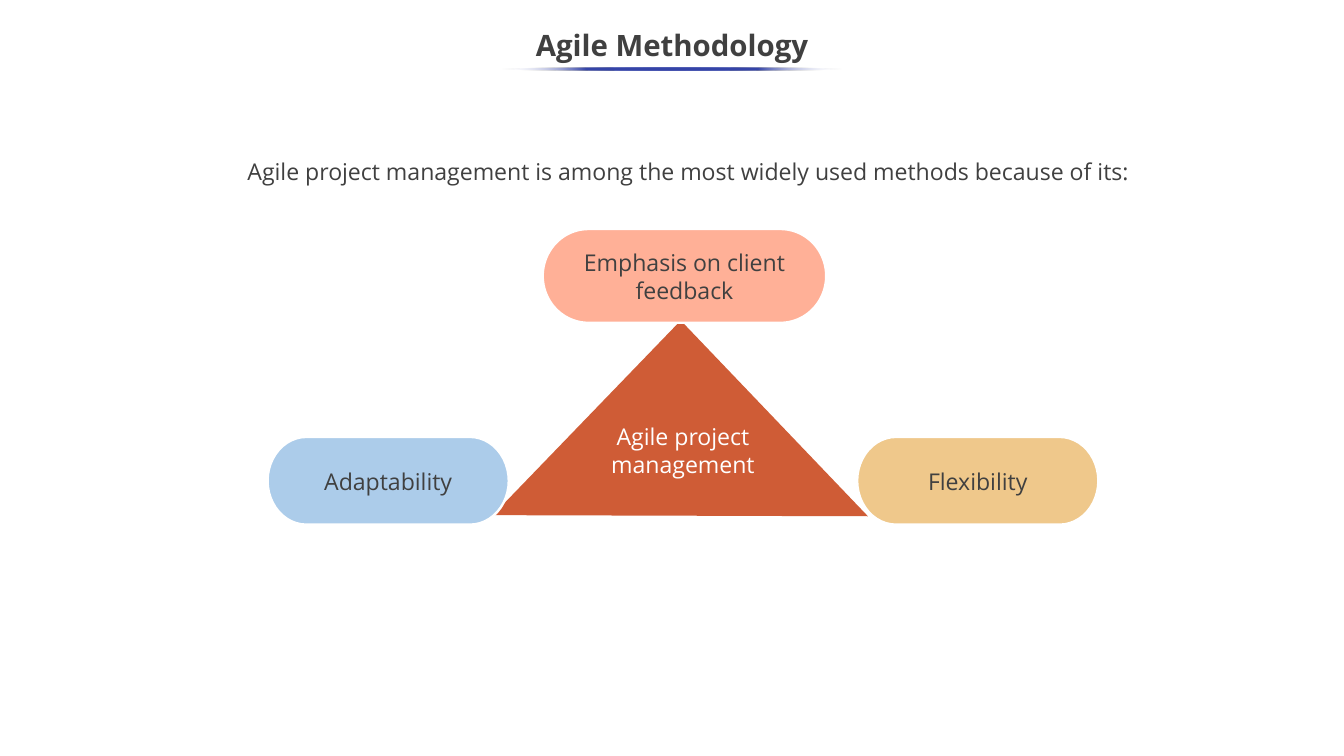
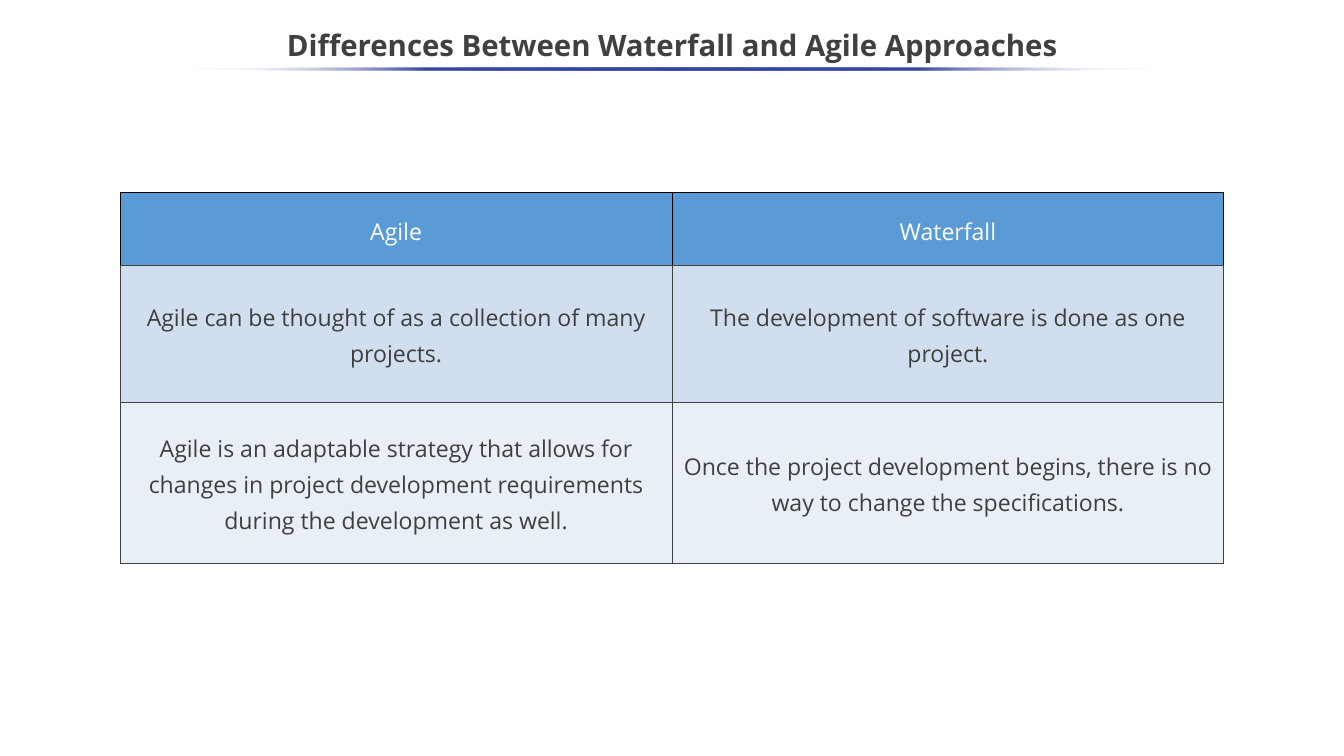
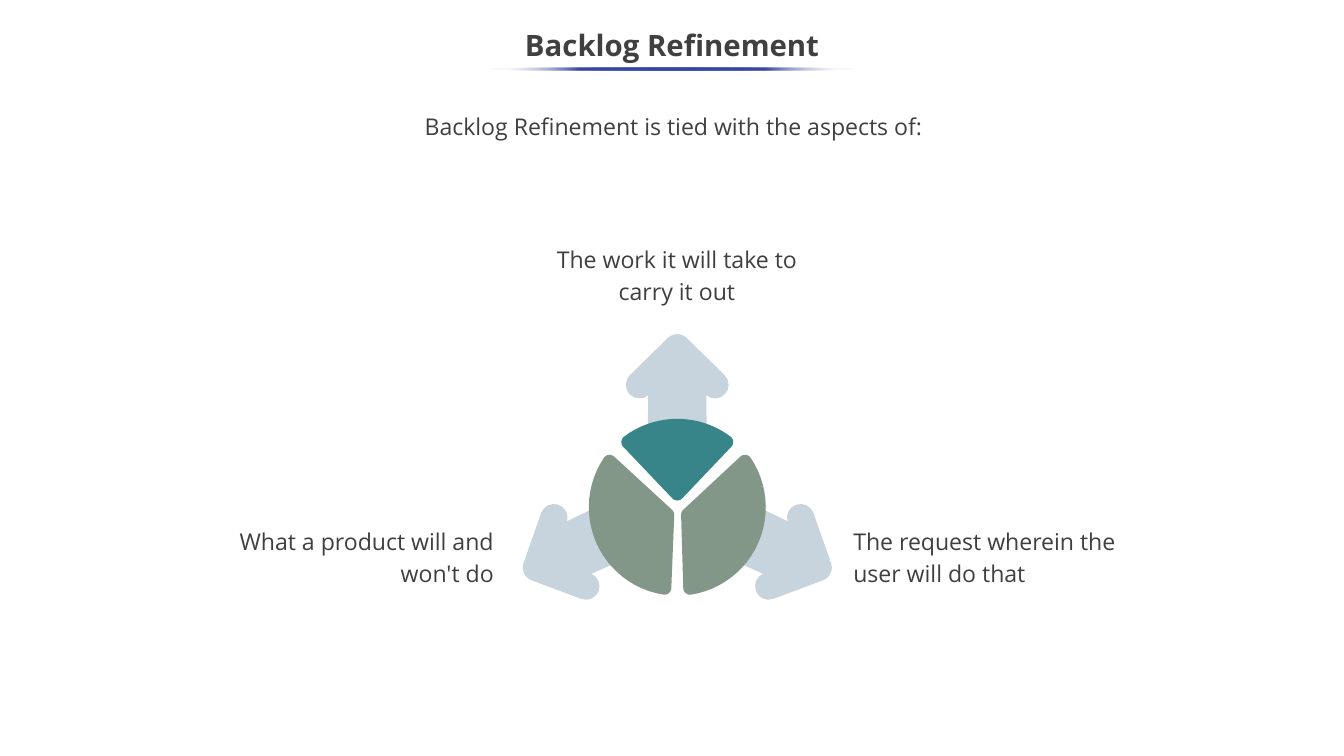
from math import atan2, cos, degrees, radians, sin

from lxml import etree
from pptx import Presentation
from pptx.dml.color import RGBColor
from pptx.enum.shapes import MSO_SHAPE as SHAPE
from pptx.enum.text import MSO_ANCHOR as ANCHOR, MSO_AUTO_SIZE as FIT, PP_ALIGN as ALIGN
from pptx.oxml.ns import qn
from pptx.util import Pt

PX = 9144
WIDTH, HEIGHT = 1778, 1000
FONT = "Open Sans"
DARK, INK, WHITE, BLACK = "404040", "3F3F3F", "FFFFFF", "000000"
RULE, RUST = "3645A9", "CF5C36"
CORAL, SKY, SAND = "FFB097", "ACCCEA", "EFC88B"
HEADER, BAND_DARK, BAND_LIGHT = "5B9BD5", "D0DEEF", "E9EFF7"
MIST, TEAL, SAGE = "C7D3DD", "378589", "839788"
HUB, RADIUS, CORNER = (896, 671), 117, 9


def rgb(color):
    """Return the colour for a hex string."""
    return RGBColor.from_string(color)


def emu(*lengths):
    """Turn px lengths into EMU."""
    return [round(n * PX) for n in lengths]


def write(tf, text, size=22, color=DARK, bold=False, align=ALIGN.CENTER,
          anchor=ANCHOR.MIDDLE, spacing=1.0):
    """Put one formatted paragraph into a text frame."""
    tf.word_wrap = True
    tf.vertical_anchor = anchor
    p = tf.paragraphs[0]
    p.alignment = align
    p.line_spacing = spacing
    p.space_before = Pt(0)
    r = p.add_run()
    r.text = text
    r.font.name = FONT
    r.font.size = Pt(size)
    r.font.bold = bold
    r.font.color.rgb = rgb(color)


def add_label(s, box, text, **style):
    """Add a text box."""
    write(s.shapes.add_textbox(*emu(*box)).text_frame, text, **style)


def paint(sp, fill, line=None):
    """Give a shape a flat fill and an optional outline."""
    sp.shadow.inherit = False
    sp.fill.solid()
    sp.fill.fore_color.rgb = rgb(fill)
    if line:
        sp.line.color.rgb = rgb(line)
        sp.line.width = Pt(2.25)
    else:
        sp.line.fill.background()


def add_shape(s, kind, box, fill, line=None):
    """Add a painted preset shape."""
    sp = s.shapes.add_shape(kind, *emu(*box))
    paint(sp, fill, line)
    return sp


def add_pill(s, box, text, fill):
    """Add a rounded pill with its caption."""
    sp = add_shape(s, SHAPE.FLOWCHART_TERMINATOR, box, fill, WHITE)
    write(sp.text_frame, text)


def fade_ends(sp, color):
    """Fill a shape with a colour that fades out at both ends."""
    fill = etree.Element(qn("a:gradFill"), rotWithShape="1")
    stops = etree.SubElement(fill, qn("a:gsLst"))
    for pos in (0, 25, 50, 75, 100):
        end = pos in (0, 100)
        stop = etree.SubElement(stops, qn("a:gs"), pos=str(pos * 1000))
        clr = etree.SubElement(stop, qn("a:srgbClr"), val=WHITE if end else color)
        if end:
            etree.SubElement(clr, qn("a:alpha"), val="0")
    etree.SubElement(fill, qn("a:lin"), ang="10800000", scaled="0")
    old = sp._element.spPr.find(qn("a:solidFill"))
    old.getparent().replace(old, fill)


def add_slide(prs, title, rule_width):
    """Add a slide with its title and the rule below it."""
    s = prs.slides.add_slide(prs.slide_layouts[5])
    sp = s.shapes.title
    sp.left, sp.top, sp.width, sp.height = emu(0, 25, WIDTH, 75)
    sp.text_frame.auto_size = FIT.NONE
    write(sp.text_frame, title, size=28, bold=True, spacing=0.9)
    rule = add_shape(s, SHAPE.OVAL, ((WIDTH - rule_width) / 2, 89, rule_width, 4), RULE)
    fade_ends(rule, RULE)
    return s


def set_border(cell, side, color):
    """Draw one side of a cell; sides go in the order L, R, T, B."""
    ln = etree.SubElement(cell._tc.get_or_add_tcPr(), qn("a:ln" + side), w=str(Pt(1)))
    fill = etree.SubElement(ln, qn("a:solidFill"))
    etree.SubElement(fill, qn("a:srgbClr"), val=color)


def add_table(s, left, top, col_width, heights, rows):
    """Add a table with a header row and shaded body rows."""
    cols = len(rows[0])
    box = emu(left, top, col_width * cols, sum(heights))
    table = s.shapes.add_table(len(rows), cols, *box).table
    for col in table.columns:
        col.width = emu(col_width)[0]
    for i, (row, height, fill) in enumerate(zip(rows, heights, (HEADER, BAND_DARK, BAND_LIGHT))):
        table.rows[i].height = emu(height)[0]
        for j, text in enumerate(row):
            cell = table.cell(i, j)
            for side in "LRTB":
                set_border(cell, side, BLACK if i == 0 and side != "B" else INK)
            cell.fill.solid()
            cell.fill.fore_color.rgb = rgb(fill)
            cell.vertical_anchor = ANCHOR.MIDDLE
            write(cell.text_frame, text, color=INK if i else WHITE, spacing=1.14)


def polar(center, radius, angle):
    """Return the point at an angle, clockwise from the right."""
    a = radians(angle)
    return center[0] + radius * cos(a), center[1] + radius * sin(a)


def arc(center, radius, start, end, steps=8):
    """Return points along a clockwise arc."""
    sweep = (end - start) % 360
    return [polar(center, radius, start + sweep * k / steps) for k in range(steps + 1)]


def add_outline(s, points, fill):
    """Add a closed freeform through the points."""
    first, *rest = [emu(*pt) for pt in points]
    builder = s.shapes.build_freeform(*first)
    builder.add_line_segments(rest)
    paint(builder.convert_to_shape(), fill)


def add_arrow(s, center, angle):
    """Add a round-cornered arrow, turned clockwise from upright."""
    r = 18
    points = [(-39, 72), *arc((-50, 0), r, 50, 225), *arc((0, -49), r, 225, 315),
              *arc((50, 0), r, 315, 130), (39, 72)]
    c, t = cos(radians(angle)), sin(radians(angle))
    add_outline(s, [(center[0] + x * c - y * t, center[1] + x * t + y * c)
                    for x, y in points], MIST)


def normal(a, b):
    """Return the outward angle of an edge walked clockwise."""
    return degrees(atan2(b[1] - a[1], b[0] - a[0])) - 90


def add_wedge(s, apex, start, end, fill):
    """Add a round-cornered sector of the hub circle."""
    first, last = (polar(HUB, RADIUS - CORNER, a) for a in (start, end))
    into, out = normal(last, apex), normal(apex, first)
    points = [*arc(HUB, RADIUS, start, end, 24), *arc(last, CORNER, end, into),
              *arc(apex, CORNER, into, out), *arc(first, CORNER, out, start)]
    add_outline(s, points, fill)


def build_methodology(prs):
    """Build the slide on why agile is popular."""
    s = add_slide(prs, "Agile Methodology", 451)
    triangle = add_shape(s, SHAPE.ISOSCELES_TRIANGLE, (726, 498, 358, 358), RUST)
    triangle.adjustments[0] = 0.04
    triangle.rotation = 134
    add_pill(s, (718, 303, 375, 124), "Emphasis on client feedback", CORAL)
    add_pill(s, (354, 578, 319, 116), "Adaptability", SKY)
    add_pill(s, (1134, 578, 319, 116), "Flexibility", SAND)
    add_label(s, (285, 177, 1251, 100),
              "Agile project management is among the most widely used methods because of its:")
    add_label(s, (791, 554, 225, 84), "Agile project management", color=WHITE, anchor=ANCHOR.TOP)


def build_differences(prs):
    """Build the comparison table slide."""
    s = add_slide(prs, "Differences Between Waterfall and Agile Approaches", 1290)
    add_table(s, 159, 255, 730, (96, 181, 213), [
        ("Agile", "Waterfall"),
        ("Agile can be thought of as a collection of many projects.",
         "The development of software is done as one project."),
        ("Agile is an adaptable strategy that allows for changes in project development "
         "requirements during the development as well.",
         "Once the project development begins, there is no way to change the specifications."),
    ])


def build_refinement(prs):
    """Build the slide on the aspects of backlog refinement."""
    s = add_slide(prs, "Backlog Refinement", 487)
    style = {"color": INK, "spacing": 1.15}
    add_label(s, (141, 138, 1500, 100), "Backlog Refinement is tied with the aspects of:",
              anchor=ANCHOR.TOP, **style)
    for center, angle in (((896, 509), 0), ((1038, 730), 115), ((754, 730), -115)):
        add_arrow(s, center, angle)
    add_wedge(s, (883, 681), 99, 214, SAGE)
    add_wedge(s, (896, 653), -127, -53, TEAL)
    add_wedge(s, (910, 681), -34, 81, SAGE)
    for box, text, align in (
            ((1119, 729, 400, 52), "The request wherein the user will do that", ALIGN.LEFT),
            ((263, 729, 400, 52), "What a product will and won't do", ALIGN.RIGHT),
            ((693, 361, 405, 47), "The work it will take to carry it out", ALIGN.CENTER)):
        add_label(s, box, text, align=align, anchor=ANCHOR.BOTTOM, **style)


def main():
    """Build and save the presentation."""
    prs = Presentation()
    prs.slide_width, prs.slide_height = emu(WIDTH, HEIGHT)
    build_methodology(prs)
    build_differences(prs)
    build_refinement(prs)
    prs.save("out.pptx")


if __name__ == "__main__":
    main()
